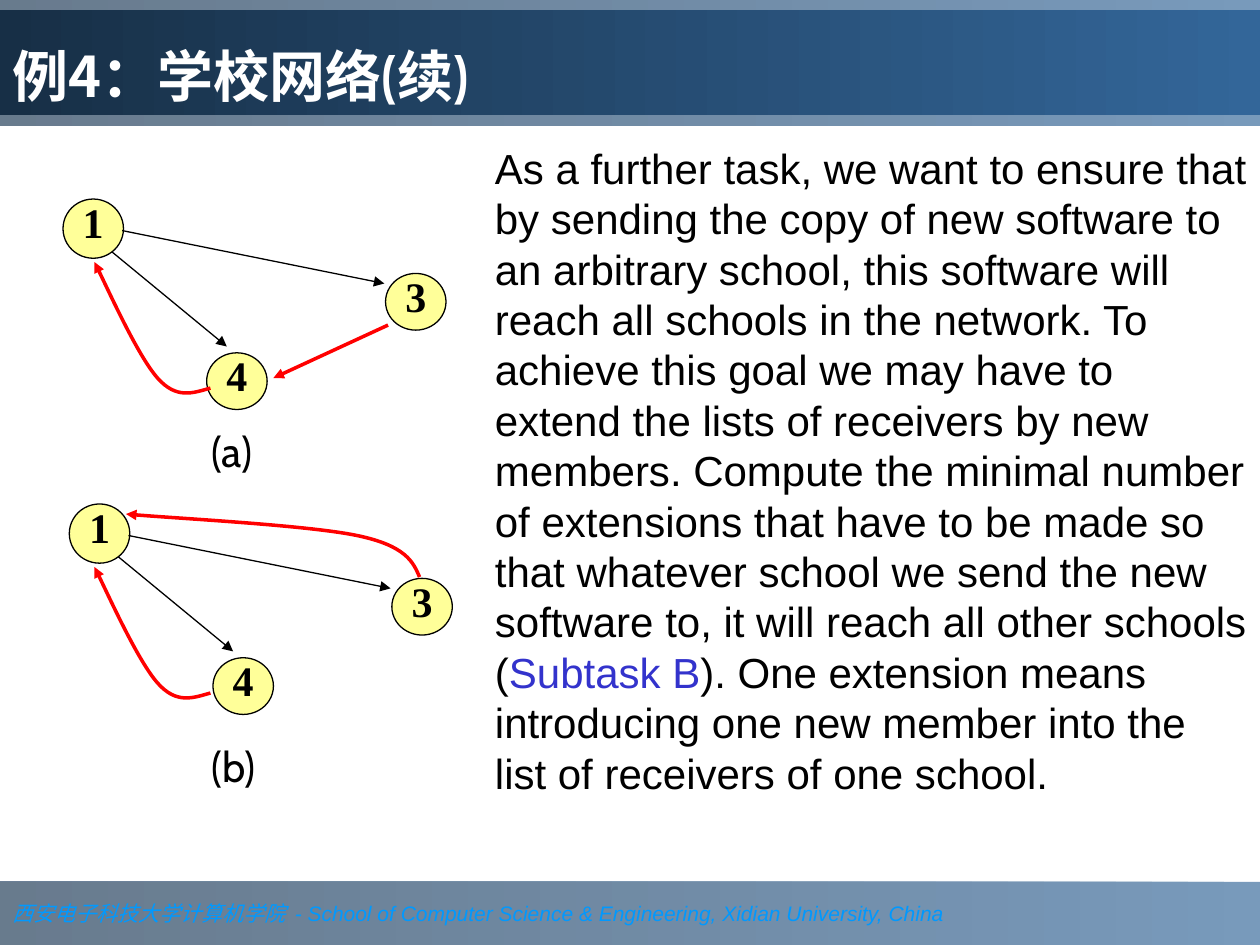
"""Build the school network slide with two directed graphs and a task text."""
from lxml.etree import SubElement
from pptx import Presentation
from pptx.dml.color import RGBColor
from pptx.enum.shapes import MSO_CONNECTOR, MSO_SHAPE
from pptx.enum.text import MSO_ANCHOR, PP_ALIGN
from pptx.oxml.ns import qn
from pptx.util import Emu, Pt

PX = 9144
COLORS = {
    "black": "000000", "white": "FFFFFF", "red": "FF0000", "node": "FFFF99",
    "task": "3333CC", "footer": "0099FF", "blue": "336699",
    "band_dark": "1B3753", "title_dark": "172F46",
}
CJK = "Noto Sans CJK SC"
NODES = {"4": (164, 280, 48, 45), "3": (306, 217, 48, 45), "1": (50, 158, 48, 47)}
EDGES = [(89, 200, 180, 275), (97, 183, 305, 225)]
GRAPHS = [(0, 0), (5, 242)]
CURVE_4_TO_1 = [(167, 308), (153, 312), (140, 317), (125, 300),
                (110, 283), (83, 224), (75, 208)]
CURVE_3_TO_1 = [(333, 458), (328, 446), (322, 433), (283, 425),
                (244, 417), (131, 411), (100, 408)]
TASK = (
    "As a further task, we want to ensure that by sending the copy of new "
    "software to an arbitrary school, this software will reach all schools in "
    "the network. To achieve this goal we may have to extend the lists of "
    "receivers by new members. Compute the minimal number of extensions that "
    "have to be made so that whatever school we send the new software to, it "
    "will reach all other schools (",
    "Subtask B",
    "). One extension means introducing one new member into the list of "
    "receivers of one school.",
)


def rgb(name):
    return RGBColor.from_string(COLORS[name])


def add_run(p, text, size=24, font="Arial", color="black", bold=False, italic=False):
    r = p.add_run()
    r.text = text
    r.font.size, r.font.bold, r.font.italic = Pt(size), bold, italic
    r.font.color.rgb = rgb(color)
    r.font.name = font
    SubElement(r.font._element, qn("a:ea")).set("typeface", CJK)


class Deck:
    def __init__(self, slide):
        self.s = slide

    def frame(self, sp, anchor=MSO_ANCHOR.TOP, inset=(10, 5, 10, 5), align=PP_ALIGN.LEFT):
        tf = sp.text_frame
        tf.word_wrap = True
        tf.vertical_anchor = anchor
        tf.margin_left, tf.margin_top, tf.margin_right, tf.margin_bottom = (
            Emu(v * PX) for v in inset)
        p = tf.paragraphs[0]
        p.alignment = align
        return p

    def shape(self, kind, box):
        sp = self.s.shapes.add_shape(kind, *(Emu(v * PX) for v in box))
        sp.shadow.inherit = False
        return sp

    def band(self, box, dark, alpha=None, anchor=MSO_ANCHOR.MIDDLE):
        sp = self.shape(MSO_SHAPE.RECTANGLE, box)
        sp.line.fill.background()
        sp.fill.gradient()
        sp.fill.gradient_angle = 180
        for stop, color in zip(sp.fill.gradient_stops, ("blue", dark)):
            stop.color.rgb = rgb(color)
        if alpha:
            for clr in sp._element.spPr.iter(qn("a:srgbClr")):
                SubElement(clr, qn("a:alpha")).set("val", str(alpha * 1000))
        return self.frame(sp, anchor)

    def text(self, box):
        sp = self.s.shapes.add_textbox(*(Emu(v * PX) for v in box))
        return self.frame(sp)

    def node(self, label, box):
        sp = self.shape(MSO_SHAPE.OVAL, box)
        sp.fill.solid()
        sp.fill.fore_color.rgb = rgb("node")
        sp.line.color.rgb = rgb("black")
        sp.line.width = Pt(0.75)
        p = self.frame(sp, inset=(0, 4, 0, 0), align=PP_ALIGN.CENTER)
        p.line_spacing = 0.64
        add_run(p, label, font="Times New Roman", bold=True)

    def arrow_style(self, sp, color, width):
        sp.line.color.rgb = rgb(color)
        sp.line.width = Pt(width)
        SubElement(sp.line._get_or_add_ln(), qn("a:tailEnd")).set("type", "triangle")

    def arrow(self, ends, color="black", width=0.75):
        sp = self.s.shapes.add_connector(
            MSO_CONNECTOR.STRAIGHT, *(Emu(v * PX) for v in ends))
        self.arrow_style(sp, color, width)
        SubElement(sp._element.spPr, qn("a:effectLst"))

    def curve(self, points, dy=0):
        points = [(x, y + dy) for x, y in points]
        builder = self.s.shapes.build_freeform(*points[0], scale=PX)
        builder.add_line_segments(points[1:], close=False)
        sp = builder.convert_to_shape()
        sp.shadow.inherit = False
        sp.fill.background()
        self.arrow_style(sp, "red", 2)
        path = next(sp._element.iter(qn("a:path")))
        lines = path.findall(qn("a:lnTo"))
        for i in range(0, len(lines), 3):
            bezier = SubElement(path, qn("a:cubicBezTo"))
            for line in lines[i:i + 3]:
                bezier.append(line[0])
                path.remove(line)


def main():
    prs = Presentation()
    prs.slide_width, prs.slide_height = Emu(1000 * PX), Emu(750 * PX)
    deck = Deck(prs.slides.add_slide(prs.slide_layouts[6]))

    p = deck.band((0, 700, 1000, 50), "band_dark", alpha=66)
    footer = {"size": 12, "color": "footer", "italic": True}
    add_run(p, "西安电子科技大学计算机学院 ", font="Times New Roman", **footer)
    add_run(p, " - School of Computer Science & Engineering, Xidian University, China",
            **footer)
    deck.band((0, 0, 1000, 100), "band_dark", alpha=66)
    p = deck.band((0, 8, 1000, 83), "title_dark", anchor=MSO_ANCHOR.BOTTOM)
    for text, font in (("例4：学校", CJK), ("网络(续)", "Cabin")):
        add_run(p, text, size=32, font=font, color="white", bold=True)

    p = deck.text((383, 108, 617, 530))
    p.line_spacing = Pt(28.8)
    for text, color in zip(TASK, ("black", "task", "black")):
        add_run(p, text, color=color)

    for dx, dy in GRAPHS:
        for label, (x, y, w, h) in NODES.items():
            deck.node(label, (x + dx, y + dy, w, h))
        for x1, y1, x2, y2 in EDGES:
            deck.arrow((x1 + dx, y1 + dy, x2 + dx, y2 + dy))
        deck.curve(CURVE_4_TO_1, dy)
    deck.arrow((308, 258, 217, 300), "red", 2)
    deck.curve(CURVE_3_TO_1)

    for label, top in (("(a)", 333), ("(b)", 583)):
        add_run(deck.text((158, top, 67, 50)), label, font="Cabin")
    prs.save("out.pptx")


if __name__ == "__main__":
    main()
